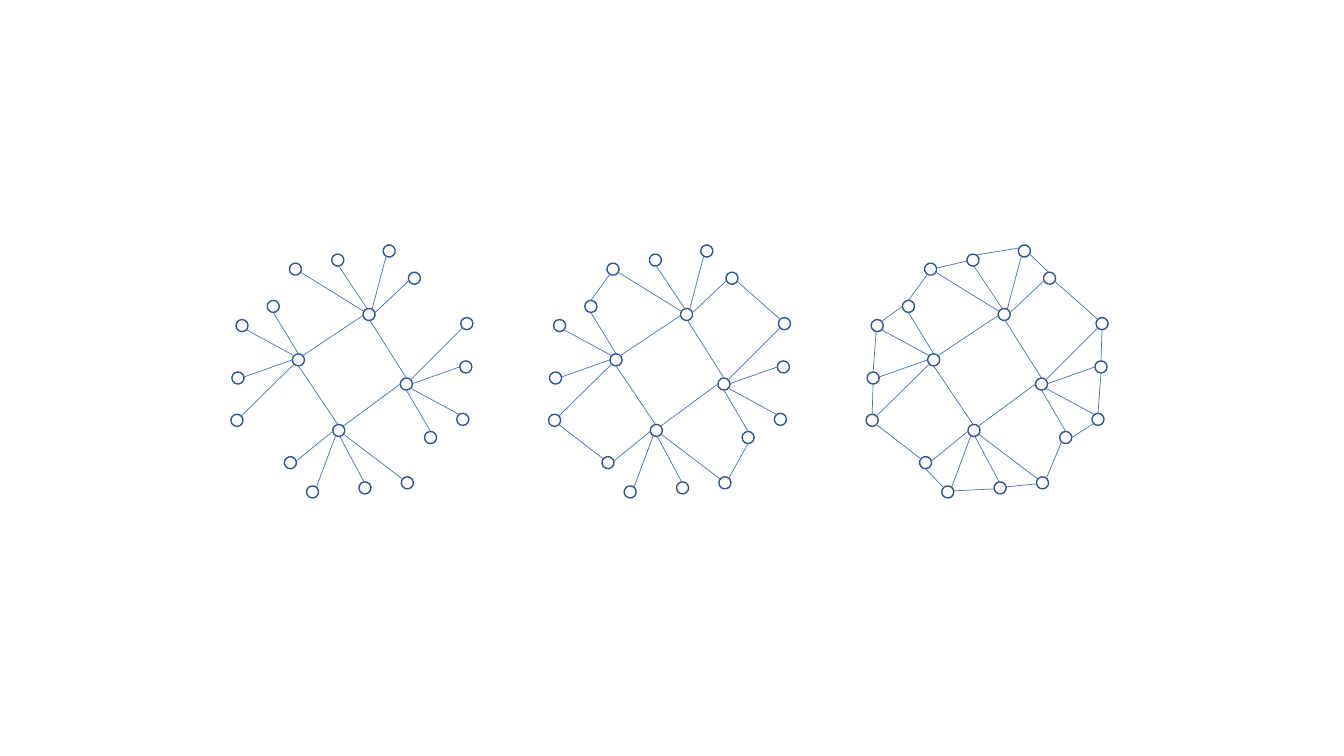
from dataclasses import dataclass

from lxml.etree import SubElement
from pptx import Presentation
from pptx.dml.color import RGBColor
from pptx.enum.shapes import MSO_CONNECTOR as Connector, MSO_SHAPE as Shape
from pptx.oxml.ns import qn
from pptx.shapes.group import GroupShape
from pptx.util import Inches, Pt

Point = tuple[float, float]
Link = tuple[Point, Point]


@dataclass(frozen=True)
class Theme:
    node_line: RGBColor = RGBColor(0x32, 0x54, 0x91)
    link_line: RGBColor = RGBColor(0x44, 0x72, 0xC4)
    node_width: Pt = Pt(1)
    link_width: Pt = Pt(0.5)


@dataclass(frozen=True)
class Star:
    """A hub with its leaves (top left corners) and the spokes between them."""
    rotation: float
    hub: Point
    leaves: list[Point]
    spokes: list[Link]


THEME = Theme()
NODE_SIZE = 0.12
NETWORK_PITCH = 3.15

# All positions are those of the leftmost network, in inches
STARS = [
    Star(0, (2.9, 3.51),
         [(2.34, 3.17), (2.3, 3.69), (2.65, 2.98), (2.29, 4.11)],
         [((2.96, 3.51), (2.71, 3.1)), ((2.92, 3.61), (2.39, 4.13)),
          ((2.9, 3.57), (2.42, 3.74)), ((2.92, 3.53), (2.44, 3.27))]),
    Star(261.9, (3.3, 4.21),
         [(3.04, 4.82), (3.56, 4.78), (2.82, 4.53), (3.98, 4.73)],
         [((3.3, 4.28), (2.93, 4.58)), ((3.41, 4.31), (3.99, 4.75)),
          ((3.37, 4.33), (3.61, 4.78)), ((3.33, 4.32), (3.14, 4.83))]),
    Star(76.6, (3.6, 3.06),
         [(3.8, 2.43), (3.29, 2.52), (4.05, 2.7), (2.87, 2.61)],
         [((3.71, 3.11), (4.06, 2.78)), ((3.61, 3.09), (2.98, 2.7)),
          ((3.64, 3.06), (3.36, 2.64)), ((3.69, 3.07), (3.83, 2.54))]),
    Star(180, (3.97, 3.75),
         [(4.53, 4.1), (4.56, 3.58), (4.21, 4.28), (4.57, 3.15)],
         [((4.03, 3.87), (4.27, 4.28)), ((4.07, 3.77), (4.59, 3.25)),
          ((4.08, 3.81), (4.56, 3.64)), ((4.07, 3.85), (4.55, 4.11))]),
]

HUB_LINKS: list[Link] = [
    ((3.6, 3.13), (3, 3.53)), ((3.35, 4.21), (2.96, 3.63)),
    ((3.67, 3.18), (4.03, 3.75)), ((3.4, 4.23), (3.97, 3.81)),
]

# Links between the outer leaves of neighbouring stars
BRIDGES: list[Link] = [
    ((2.71, 2.98), (2.9, 2.72)), ((4.16, 2.79), (4.59, 3.17)),
    ((2.39, 4.21), (2.83, 4.55)),
]
PARTIAL_BRIDGE: Link = ((4.27, 4.4), (4.08, 4.74))
RING_BRIDGE: Link = ((4.23, 4.38), (4.08, 4.74))

# Links between leaves of the same star, clockwise from the upper left
RIM_LINKS: list[Link] = [
    ((2.99, 2.66), (3.29, 2.59)), ((3.38, 2.53), (3.81, 2.46)),
    ((3.91, 2.52), (4.1, 2.7)), ((4.63, 3.27), (4.62, 3.58)),
    ((4.62, 3.7), (4.59, 4.1)), ((4.55, 4.2), (4.33, 4.34)),
    ((3.98, 4.8), (3.68, 4.83)), ((3.56, 4.85), (3.16, 4.87)),
    ((3.06, 4.84), (2.88, 4.65)), ((2.35, 4.11), (2.36, 3.8)),
    ((2.36, 3.69), (2.39, 3.29)), ((2.44, 3.19), (2.65, 3.04)),
]

# Outer links of each network: none, partial, complete ring
OUTER_LINKS: list[list[Link]] = [
    [],
    [*BRIDGES, PARTIAL_BRIDGE],
    [*BRIDGES, RING_BRIDGE, *RIM_LINKS],
]


def add_node(group: GroupShape, position: Point, rotation: float, offset: float) -> None:
    left, top = position
    node = group.shapes.add_shape(Shape.OVAL, Inches(left + offset), Inches(top),
                                  Inches(NODE_SIZE), Inches(NODE_SIZE))
    node.rotation = rotation
    node.shadow.inherit = False
    node.fill.background()
    node.line.color.rgb = THEME.node_line
    node.line.width = THEME.node_width


def add_link(group: GroupShape, link: Link, offset: float) -> None:
    (start_x, start_y), (end_x, end_y) = link
    connector = group.shapes.add_connector(
        Connector.STRAIGHT, Inches(start_x + offset), Inches(start_y),
        Inches(end_x + offset), Inches(end_y))
    connector.line.color.rgb = THEME.link_line
    connector.line.width = THEME.link_width
    SubElement(connector._element.spPr, qn("a:effectLst"))


def add_network(group: GroupShape, outer_links: list[Link], offset: float) -> None:
    for star in STARS:
        for position in [*star.leaves, star.hub]:
            add_node(group, position, star.rotation, offset)
        for spoke in star.spokes:
            add_link(group, spoke, offset)
    for link in HUB_LINKS + outer_links:
        add_link(group, link, offset)


def main() -> None:
    presentation = Presentation()
    presentation.slide_width = Inches(13.33)
    presentation.slide_height = Inches(7.5)
    slide = presentation.slides.add_slide(presentation.slide_layouts[6])

    # Three networks side by side
    for index, outer_links in enumerate(OUTER_LINKS):
        group = slide.shapes.add_group_shape()
        add_network(group, outer_links, index * NETWORK_PITCH)

    presentation.save("out.pptx")


if __name__ == "__main__":
    main()
